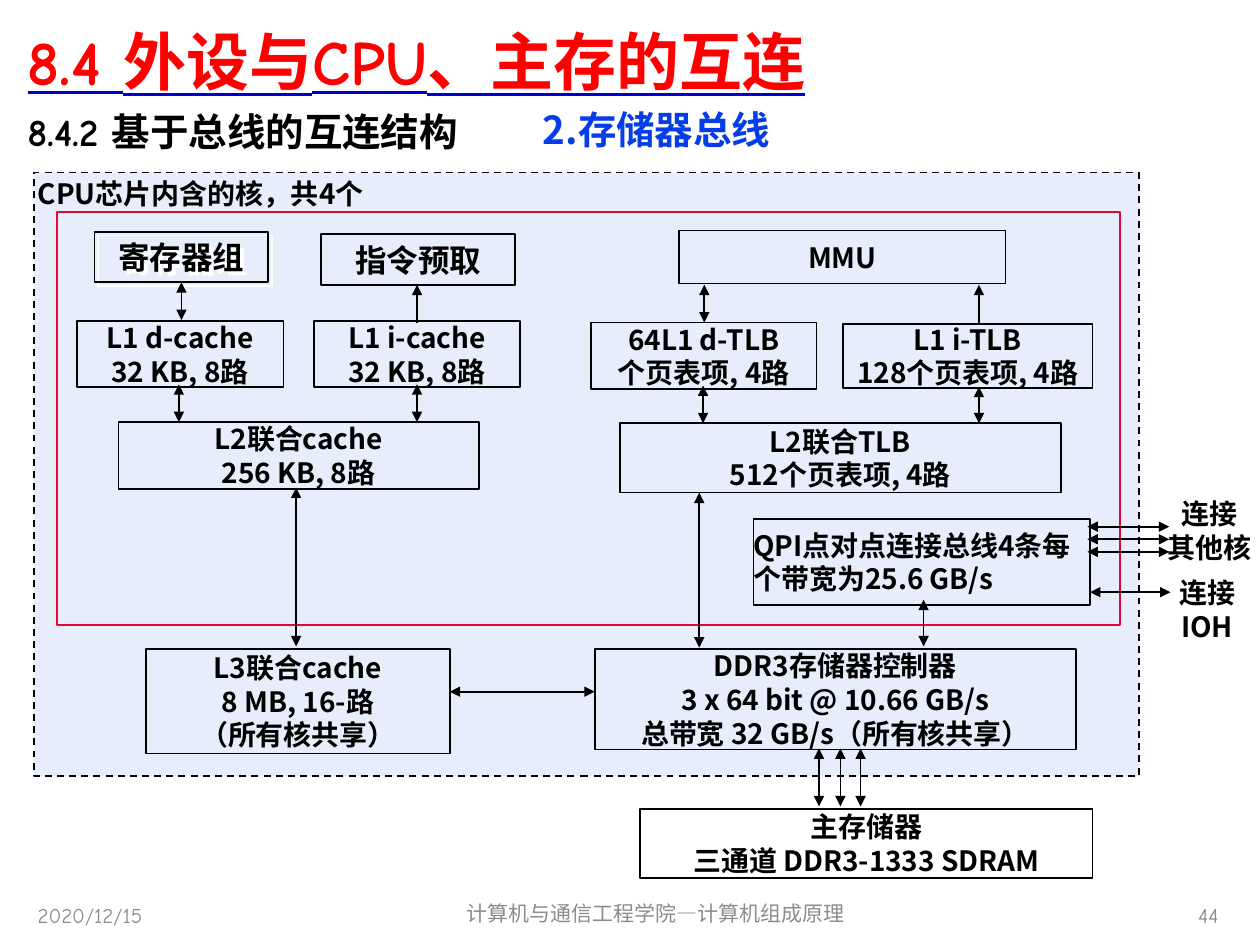
import pptx
import pptx.dml.color
import pptx.enum.dml
import pptx.enum.shapes
import pptx.enum.text
import pptx.oxml
import pptx.oxml.ns
import pptx.util

Inches = pptx.util.Inches
Pt = pptx.util.Pt
ALIGN = {
    "l": pptx.enum.text.PP_ALIGN.LEFT,
    "c": pptx.enum.text.PP_ALIGN.CENTER,
    "r": pptx.enum.text.PP_ALIGN.RIGHT,
}
MIDDLE = pptx.enum.text.MSO_ANCHOR.MIDDLE
TOP = pptx.enum.text.MSO_ANCHOR.TOP
SANS, COMIC = "Noto Sans CJK SC", "Comic Neue"
TIGHT = (0, 0.04)
LOOSE = (0.1, 0.05)


def color(text):
    return pptx.dml.color.RGBColor.from_string(text)


def node(tag, inner="", **attrs):
    """Make a drawing element with the given children and attributes."""
    pairs = "".join(f' {key}="{val}"' for key, val in attrs.items())
    space = pptx.oxml.ns.nsdecls("a")
    return pptx.oxml.parse_xml(f"<a:{tag} {space}{pairs}>{inner}</a:{tag}>")


def solid(text):
    return f'<a:solidFill><a:srgbClr val="{text}"/></a:solidFill>'


class Deck:
    ink = "000000"
    base = {"size": Pt(16), "bold": True, "name": SANS}

    def __init__(self):
        self.file = pptx.Presentation()
        self.file.slide_width, self.file.slide_height = Inches(10), Inches(7.5)
        self.slide = self.file.slides.add_slide(self.file.slide_layouts[5])

    def label(self, shape, lines, align="c", anchor=MIDDLE, inset=TIGHT, ink=None, **style):
        frame = shape.text_frame
        frame.word_wrap = True
        frame.auto_size = pptx.enum.text.MSO_AUTO_SIZE.NONE
        frame.vertical_anchor = anchor
        frame.margin_left = frame.margin_right = Inches(inset[0])
        frame.margin_top = frame.margin_bottom = Inches(inset[1])
        frame.text = lines
        for para in frame.paragraphs:
            para.alignment = ALIGN[align]
            for run in para.runs:
                for key, val in {**self.base, **style}.items():
                    setattr(run.font, key, val)
                run.font.color.rgb = color(ink or self.ink)
                run.font._element.find(pptx.oxml.ns.qn("a:latin")).addnext(
                    node("ea", typeface=SANS))

    def title(self, lines, spot, line, **style):
        shape = self.slide.shapes.title
        shape.left, shape.top, shape.width, shape.height = map(Inches, spot)
        self.label(shape, lines, "l", inset=LOOSE, underline=True, **style)
        for run in shape.text_frame.paragraphs[0].runs:
            run.font._element.find(pptx.oxml.ns.qn("a:latin")).addprevious(
                node("uFill", solid(line)))

    def text(self, lines, spot, **style):
        self.label(self.slide.shapes.add_textbox(*map(Inches, spot)), lines, **style)

    def box(self, spot, lines="", line=None, **style):
        kind = pptx.enum.shapes.MSO_SHAPE.RECTANGLE
        shape = self.slide.shapes.add_shape(kind, *map(Inches, spot))
        shape.shadow.inherit = False
        shape.fill.background()
        shape.line.color.rgb = color(line or self.ink)
        shape.line.width = Pt(1)
        if lines:
            self.label(shape, lines, **style)
        return shape

    def arrow(self, start, end, both=True):
        kind = pptx.enum.shapes.MSO_CONNECTOR.STRAIGHT
        link = self.slide.shapes.add_connector(kind, *map(Inches, start + end))
        link.line.color.rgb = color(self.ink)
        link.line.width = Pt(1)
        for tag in ("headEnd", "tailEnd")[:1 + both]:
            link.line._get_or_add_ln().append(node(tag, type="triangle"))
        link._element.spPr.append(node("effectLst"))


def frames(deck):
    """Draw the core outline and the tinted chip around it."""
    deck.box((0.45, 1.68, 8.44, 3.28), line="FC0128")
    chip = deck.box((0.27, 1.37, 8.77, 4.79))
    chip.line.dash_style = pptx.enum.dml.MSO_LINE.DASH
    chip.fill.solid()
    chip.fill.fore_color.rgb = color("063DE8")
    tint = chip._element.spPr.find(pptx.oxml.ns.qn("a:solidFill"))
    tint[0].append(node("alpha", val=9000))


def heads(deck):
    deck.title("8.4 外设与CPU、主存的互连", (0.12, 0.05, 9.69, 0.85), "0000CC",
               ink="FF0000", size=Pt(36), name=COMIC)
    deck.text("8.4.2 基于总线的互连结构", (0.12, 0.81, 9.69, 0.5), align="l",
              anchor=TOP, inset=LOOSE, size=Pt(22), name=COMIC)
    deck.text("2.存储器总线", (4.21, 0.79, 3.22, 0.47), align="l",
              anchor=TOP, inset=LOOSE, size=Pt(22), ink="063DE8")
    for words, spot, align in (
        ("2020/12/15", (0.2, 7.06, 2.33, 0.4), "l"),
        ("计算机与通信工程学院—计算机组成原理", (3.35, 7.05, 3.71, 0.4), "c"),
        ("44", (7.44, 7.06, 2.33, 0.4), "r"),
    ):
        deck.text(words, spot, align=align, inset=LOOSE, size=Pt(12),
                  bold=False, name=COMIC, ink="8C8C8C")


def units(deck):
    bank = deck.box((0.75, 1.84, 1.38, 0.4), "寄存器组", size=Pt(18))
    glow = bank._element.spPr.find(pptx.oxml.ns.qn("a:effectLst"))
    glow.append(node("outerShdw", '<a:srgbClr val="FFFFFF"/>',
                     dist=Pt(3), dir=45 * 60000, algn="ctr", rotWithShape=0))
    deck.box((2.55, 1.86, 1.54, 0.4), "指令预取", size=Pt(18))
    for spot, words in (
        ((5.39, 1.83, 2.59, 0.42), "MMU"),
        ((0.61, 2.55, 1.64, 0.52), "L1 d-cache\n32 KB, 8路"),
        ((2.49, 2.55, 1.64, 0.52), "L1 i-cache\n32 KB, 8路"),
        ((4.69, 2.56, 1.79, 0.53), "64L1 d-TLB\n个页表项, 4路"),
        ((6.69, 2.57, 1.98, 0.51), "L1 i-TLB\n128个页表项, 4路"),
        ((0.94, 3.35, 2.86, 0.53), "L2联合cache\n256 KB, 8路"),
        ((4.92, 3.36, 3.5, 0.55), "L2联合TLB\n512个页表项, 4路"),
        ((1.16, 5.15, 2.41, 0.83), "L3联合cache\n8 MB, 16-路\n（所有核共享）"),
        ((4.72, 5.15, 3.82, 0.8),
         "DDR3存储器控制器\n3 x 64 bit @ 10.66 GB/s\n总带宽 32 GB/s（所有核共享）"),
        ((5.08, 6.42, 3.59, 0.55), "主存储器\n三通道 DDR3-1333 SDRAM"),
    ):
        deck.box(spot, words)
    deck.box((5.98, 4.12, 2.67, 0.68), "QPI点对点连接总线4条每个带宽为25.6 GB/s", align="l")
    deck.text("CPU芯片内含的核，共4个", (0.3, 1.36, 3.11, 0.26), align="l", anchor=TOP)
    deck.text("连接\n其他核", (9.24, 3.9, 0.72, 0.58), anchor=TOP)
    deck.text("连接IOH", (9.27, 4.53, 0.62, 0.53), anchor=TOP)


def links(deck):
    for x, top, end in (
        (1.44, 2.24, 2.54), (5.59, 2.26, 2.56),
        (1.42, 3.05, 3.35), (3.31, 3.05, 3.35),
        (5.58, 3.06, 3.36), (7.77, 3.07, 3.36),
        (2.35, 3.87, 5.13), (5.55, 3.91, 5.14), (7.33, 4.76, 5.13),
        (6.5, 5.94, 6.4), (6.67, 5.94, 6.4), (6.83, 5.94, 6.4),
    ):
        deck.arrow((x, top), (x, end))
    for x in (3.31, 7.77):
        deck.arrow((x, 2.26), (x, 2.56), both=False)
    for y in (4.18, 4.28, 4.38):
        deck.arrow((9.28, y), (8.63, y))
    deck.arrow((9.29, 4.7), (8.65, 4.7))
    deck.arrow((3.57, 5.49), (4.72, 5.49))


def main():
    deck = Deck()
    for draw in (heads, frames, units, links):
        draw(deck)
    deck.file.save("out.pptx")


if __name__ == "__main__":
    main()
